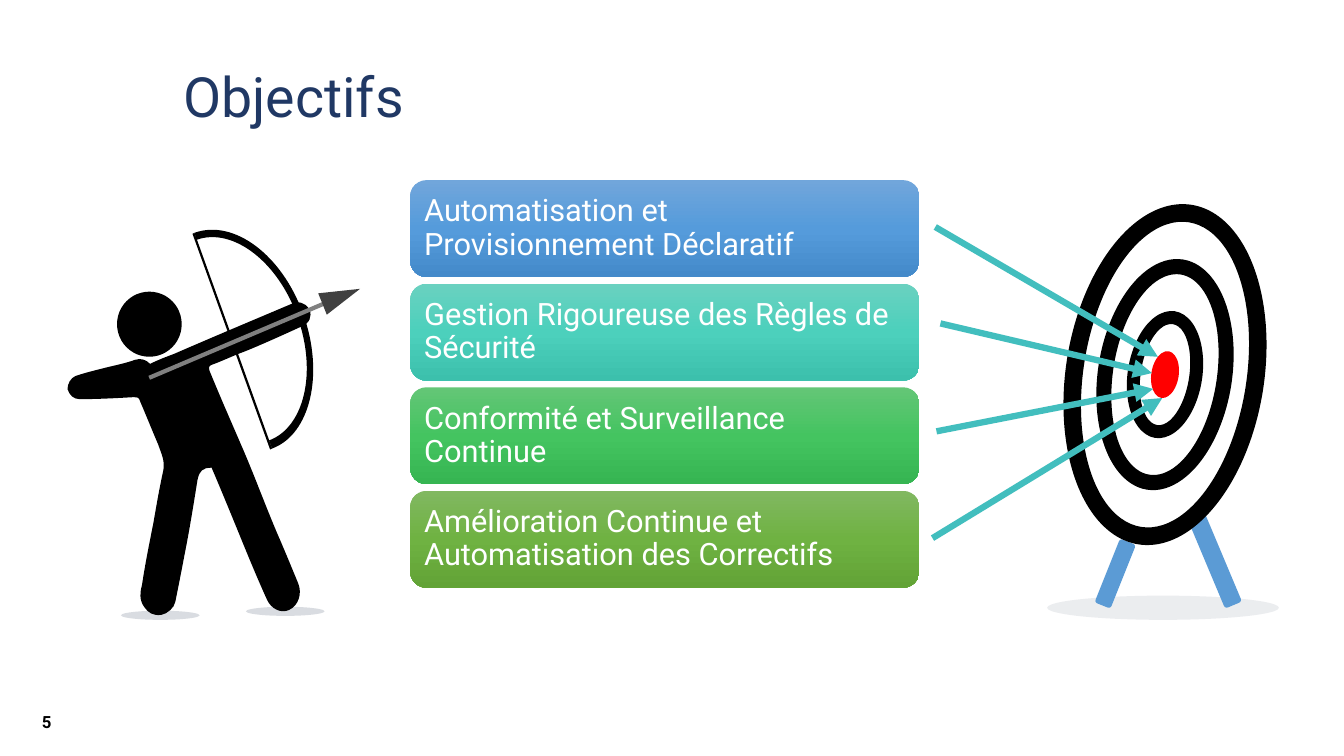
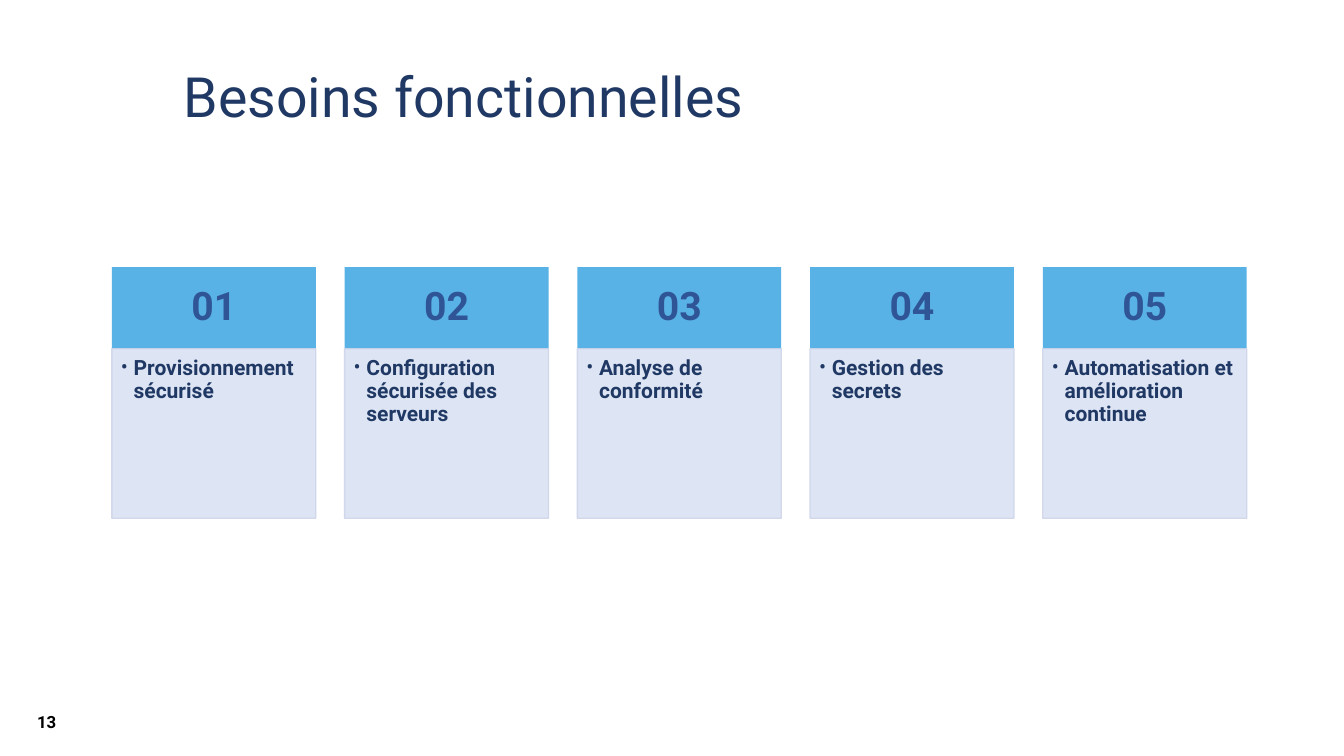
from dataclasses import dataclass
from lxml.etree import SubElement
from pptx import Presentation
from pptx.dml.color import RGBColor as RGB
from pptx.enum.shapes import MSO_CONNECTOR as LINK, MSO_SHAPE as FORM
from pptx.enum.text import MSO_ANCHOR as ANCHOR, PP_ALIGN as ALIGN
from pptx.oxml.ns import qn
from pptx.util import Cm, Pt


@dataclass(frozen=True)
class Theme:
    font: str = "Roboto"
    navy: str = "203864"
    black: str = "000000"
    white: str = "FFFFFF"
    slate: str = "44546A"
    gray: str = "808080"
    dark: str = "404040"
    wood: str = "5B9BD5"
    red: str = "FF0000"
    teal: str = "42BEBE"
    sky: str = "59B2E5"
    digit: str = "2F5597"
    pale: str = "DAE3F3"
    edge: str = "CFD5EA"
    title: float = 39.6
    goal: int = 22
    num: int = 28
    need: int = 15
    foot: int = 12


T = Theme()

# Content: goals with their gradient stops
GOALS = [
    ("Automatisation et Provisionnement Déclaratif", ("71A6DB", "559BDB", "448ACA")),
    ("Gestion Rigoureuse des Règles de Sécurité", ("6AD1C0", "4CD0BC", "3CC0AC")),
    ("Conformité et Surveillance Continue", ("64C677", "44C460", "36B552")),
    ("Amélioration Continue et Automatisation des Correctifs",
     ("81B861", "6FB242", "62A336")),
]
NEEDS = [
    "Provisionnement sécurisé",
    "Configuration sécurisée des serveurs",
    "Analyse de conformité",
    "Gestion des secrets",
    "Automatisation et amélioration continue",
]

# Drawing data in cm: (left, top, width, height) or (x1, y1, x2, y2)
FEET = [(3.05, 15.39, 1.98, 0.23), (6.2, 15.29, 1.98, 0.23)]
LEGS = [((30.35, 12.73, 0.46, 2.62), 337.2), ((27.89, 13.59, 0.43, 1.73), 21.8)]
HUB = (29.36, 9.44)
RINGS = [(5, 8.66, 0.089), (3.38, 5.87, 0.113), (1.88, 3.23, 0.175)]
SHOTS = [
    (23.57, 5.72, 29.18, 8.99),
    (23.7, 8.15, 29.03, 9.4),
    (23.6, 10.87, 29.06, 9.8),
    (23.5, 13.56, 29.29, 10.03),
]

# Outlines on a fine grid: a pair is a point, six numbers are a curve
GRID = Cm(2.54) / 100
BODY = [
    (210, 464), (201, 464, 198, 467, 196, 476), (192, 501, 188, 526, 183, 551),
    (180, 567, 177, 582, 174, 597), (173, 603, 166, 609, 160, 610),
    (152, 611, 147, 608, 143, 602), (138, 595, 139, 587, 141, 580),
    (144, 560, 148, 540, 152, 520), (155, 503, 158, 485, 162, 467),
    (164, 457, 160, 450, 157, 441), (151, 427, 145, 412, 139, 398),
    (138, 394, 136, 394, 133, 394), (115, 395, 97, 396, 79, 396),
    (73, 396, 69, 392, 67, 386), (67, 381, 70, 375, 75, 373),
    (84, 370, 92, 368, 100, 366), (111, 363, 123, 361, 134, 357),
    (140, 355, 145, 357, 149, 361), (157, 357, 165, 354, 173, 351),
    (205, 337, 255, 316, 288, 302), (296, 298, 303, 300, 307, 307),
    (310, 314, 307, 321, 299, 324), (286, 330, 255, 344, 242, 349),
    (231, 353, 221, 358, 210, 362), (207, 363, 207, 365, 208, 368),
    (219, 395, 231, 422, 243, 450), (254, 476, 264, 503, 275, 529),
    (282, 545, 289, 562, 296, 579), (300, 589, 296, 601, 287, 605),
    (279, 609, 269, 604, 265, 595), (255, 573, 246, 551, 237, 529),
    (228, 507, 219, 485, 210, 464),
]
BOW = [
    (193, 231), (195, 238), (231, 225, 276, 260, 295, 314),
    (315, 369, 302, 424, 267, 437), (270, 445),
    (308, 431, 322, 371, 301, 312), (280, 253, 232, 217, 193, 231),
]
CORD = [(268, 446), (270, 445), (193, 231), (191, 232), (268, 446)]


# Helpers
def put(obj, fmt):
    for key, val in fmt.items():
        setattr(obj, key, val)


def box(*vals):
    return [Cm(val) for val in vals]


def fade(fill, pct):
    clr = fill._xPr.find(".//" + qn("a:srgbClr"))
    SubElement(clr, qn("a:alpha"), val=str(pct * 1000))


def paint(shape, color, alpha=None):
    shape.shadow.inherit = False
    shape.line.fill.background()
    shape.fill.solid()
    shape.fill.fore_color.rgb = RGB.from_string(color)
    if alpha:
        fade(shape.fill, alpha)
    return shape


def draw(slide, form, area, color, alpha=None, turn=0):
    shape = paint(slide.shapes.add_shape(form, *box(*area)), color, alpha)
    shape.rotation = turn
    return shape


def blend(shape, stops):
    shape.fill.gradient()
    shape.fill.gradient_angle = 270
    group = shape._element.spPr.find(".//" + qn("a:gsLst"))
    for old in list(group):
        group.remove(old)
    for i, color in enumerate(stops):
        stop = SubElement(group, qn("a:gs"), pos=str(i * 50000))
        SubElement(stop, qn("a:srgbClr"), val=color)


def line(slide, ends, color, width, head=False):
    link = slide.shapes.add_connector(LINK.STRAIGHT, *box(*ends))
    link.line.color.rgb = RGB.from_string(color)
    link.line.width = Pt(width)
    if head:
        SubElement(link.line._get_or_add_ln(), qn("a:tailEnd"), type="triangle")
    SubElement(link._element.spPr, qn("a:effectLst"))


def trace(slide, parts, color):
    ends = [part[-2:] for part in parts]
    pen = slide.shapes.build_freeform(*ends[0], scale=GRID)
    pen.add_line_segments(ends[1:], close=True)
    shape = paint(pen.convert_to_shape(), color)
    # Turn the straight sides into curves where control points are given
    left, top = (min(vals) for vals in zip(*ends))
    sides = list(shape._element.iter(qn("a:lnTo")))
    for side, part in zip(sides, parts[1:]):
        if len(part) == 6:
            curve = SubElement(side.getparent(), qn("a:cubicBezTo"))
            for x, y in zip(part[::2], part[1::2]):
                SubElement(curve, qn("a:pt"), x=str(x - left), y=str(y - top))
            side.getparent().replace(side, curve)


def write(shape, text, size, color, bold=False, align=ALIGN.LEFT,
          anchor=ANCHOR.MIDDLE, pads=None, bullet=False, space=0.9):
    frame = shape.text_frame
    put(frame, {"word_wrap": True, "vertical_anchor": anchor})
    if pads:
        sides = ("margin_left", "margin_top", "margin_right", "margin_bottom")
        put(frame, dict(zip(sides, box(*pads))))
    para = frame.paragraphs[0]
    if bullet:
        para.level = 1
        props = para._p.get_or_add_pPr()
        props.set("marL", str(Cm(0.32)))
        props.set("indent", str(-Cm(0.32)))
        SubElement(props, qn("a:buFont"), typeface=T.font)
        SubElement(props, qn("a:buChar"), char="•")
    put(para, {"alignment": align, "line_spacing": space})
    run = para.add_run()
    run.text = text
    put(run.font, {"name": T.font, "size": Pt(size), "bold": bold})
    run.font.color.rgb = RGB.from_string(color)


def start(prs, title, page):
    slide = prs.slides.add_slide(prs.slide_layouts[5])
    head = slide.shapes.title
    put(head, dict(zip(("left", "top", "width", "height"),
                       box(4.37, 1.8, 28.96, 1.42))))
    write(head, title, T.title, T.navy)
    foot = slide.shapes.add_textbox(*box(0.53, 17.48, 1.3, 1.42))
    write(foot, page, T.foot, T.black, True, ALIGN.CENTER, space=None)
    return slide


# Parts of the goals slide
def archer(slide):
    for foot in FEET:
        draw(slide, FORM.OVAL, foot, T.slate, 20)
    trace(slide, BODY, T.black)
    draw(slide, FORM.OVAL, (2.95, 7.35, 1.63, 1.64), T.black)
    trace(slide, BOW, T.black)
    trace(slide, CORD, T.black)
    line(slide, (3.76, 9.52, 8.66, 7.44), T.gray, 3)
    draw(slide, FORM.ISOSCELES_TRIANGLE, (8.31, 6.96, 0.58, 1.02), T.dark, turn=68)


def target(slide):
    draw(slide, FORM.OVAL, (26.39, 15.01, 5.84, 0.61), T.slate, 10)
    for area, turn in LEGS:
        draw(slide, FORM.ROUNDED_RECTANGLE, area, T.wood, turn=turn)

    def disc(form, wide, high, color):
        area = (HUB[0] - wide / 2, HUB[1] - high / 2, wide, high)
        return draw(slide, form, area, color, turn=8.9)

    for wide, high, band in RINGS:
        disc(FORM.DONUT, wide, high, T.black).adjustments[0] = band
    disc(FORM.OVAL, 0.69, 1.19, T.red)


def goals(prs):
    slide = start(prs, "Objectifs", "5")
    archer(slide)
    target(slide)
    for i, (text, stops) in enumerate(GOALS):
        bar = draw(slide, FORM.ROUNDED_RECTANGLE,
                   (10.34, 4.54 + i * 2.61, 12.83, 2.44), stops[1])
        blend(bar, stops)
        write(bar, text, T.goal, T.white, pads=(0.23,) * 4)
    for shot in SHOTS:
        line(slide, shot, T.teal, 4.5, head=True)


# Numbered cards
def needs(prs):
    slide = start(prs, "Besoins fonctionnelles", "13")
    step = 23.46 / (len(NEEDS) - 1)
    for i, text in enumerate(NEEDS):
        left = 2.82 + i * step
        top = draw(slide, FORM.RECTANGLE, (left, 6.73, 5.14, 2.06), T.sky)
        write(top, f"{i + 1:02}", T.num, T.digit, True, ALIGN.CENTER,
              pads=(0.56, 0.3, 0.56, 0.3))
        card = draw(slide, FORM.RECTANGLE, (left, 8.79, 5.14, 4.27), T.pale, 90)
        card.line.color.rgb = RGB.from_string(T.edge)
        card.line.width = Pt(1)
        fade(card.line.fill, 90)
        write(card, text, T.need, T.navy, True, anchor=ANCHOR.TOP,
              pads=(0.23, 0.22, 0.3, 0.33), bullet=True)


def main():
    prs = Presentation()
    put(prs, {"slide_width": Cm(33.87), "slide_height": Cm(19.05)})
    goals(prs)
    needs(prs)
    prs.save("out.pptx")


if __name__ == "__main__":
    main()
